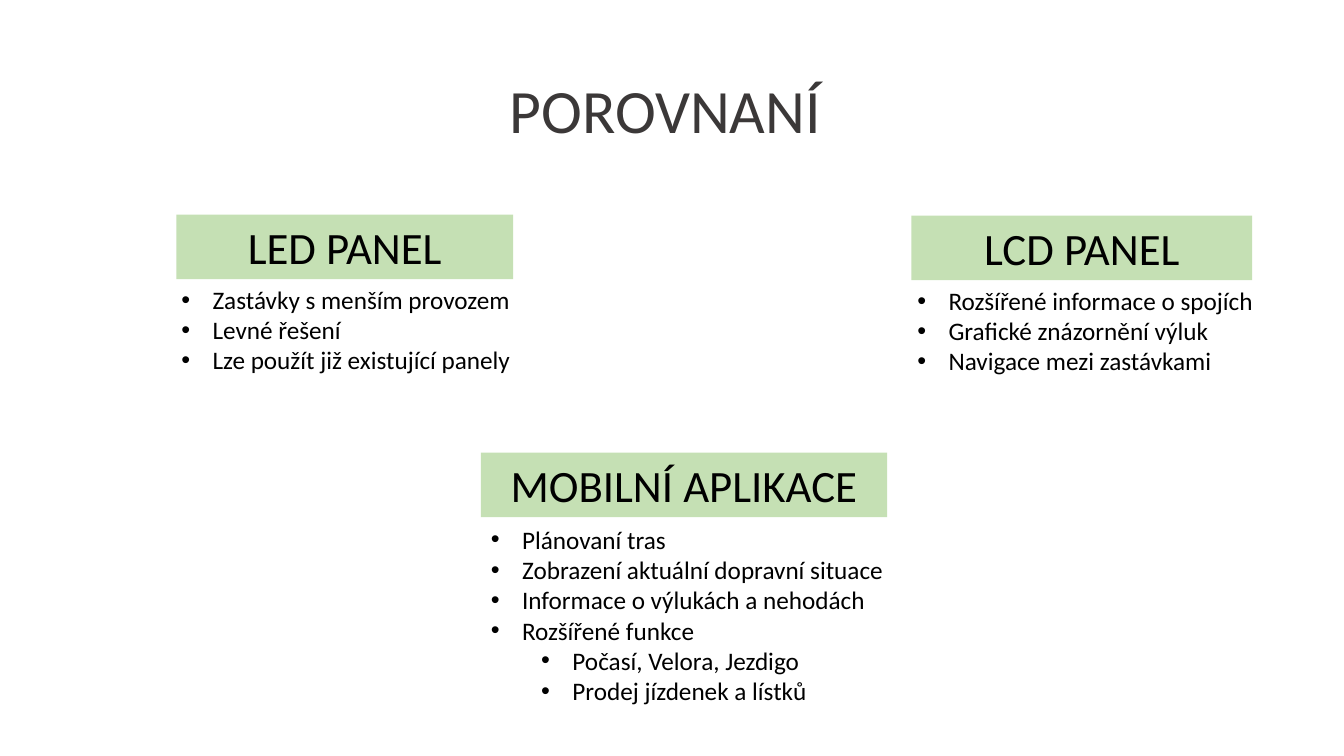
"""Build the slide comparing an LED panel, an LCD panel and a mobile app."""
from dataclasses import dataclass

from lxml import etree
from pptx import Presentation
from pptx.dml.color import RGBColor
from pptx.enum.shapes import MSO_SHAPE
from pptx.enum.text import MSO_ANCHOR, PP_ALIGN
from pptx.oxml.ns import qn
from pptx.util import Pt

RECTANGLE = MSO_SHAPE.RECTANGLE
MIDDLE = MSO_ANCHOR.MIDDLE
CENTER = PP_ALIGN.CENTER

EMU_PER_PX = 9144
FONT = "Calibri"
BLACK = "000000"
TITLE_GREY = "3B3838"
HEADING_GREEN = "C5E0B4"
HEADING_HEIGHT = 64
BULLET_INDENT = 31
LEVEL_STEP = 50


@dataclass(frozen=True)
class Box:
    left: int
    top: int
    width: int
    height: int


@dataclass(frozen=True)
class Item:
    text: str
    level: int = 0


@dataclass(frozen=True)
class Option:
    heading: str
    heading_box: Box
    list_box: Box
    items: tuple[Item, ...]


OPTIONS = (
    Option(
        "LED PANEL",
        Box(175, 213, 334, HEADING_HEIGHT),
        Box(170, 277, 362, 101),
        (
            Item("Zastávky s menším provozem"),
            Item("Levné řešení"),
            Item("Lze použít již existující panely"),
        ),
    ),
    Option(
        "LCD PANEL",
        Box(904, 214, 338, HEADING_HEIGHT),
        Box(900, 278, 362, 131),
        (
            Item("Rozšířené informace o spojích"),
            Item("Grafické znázornění výluk"),
            Item("Navigace mezi zastávkami"),
        ),
    ),
    Option(
        "MOBILNÍ APLIKACE",
        Box(477, 449, 403, HEADING_HEIGHT),
        Box(477, 515, 536, 222),
        (
            Item("Plánovaní tras"),
            Item("Zobrazení aktuální dopravní situace"),
            Item("Informace o výlukách a nehodách"),
            Item("Rozšířené funkce"),
            Item("Počasí, Velora, Jezdigo", 1),
            Item("Prodej jízdenek a lístků", 1),
        ),
    ),
)


def px(length: int) -> int:
    return length * EMU_PER_PX


def color(hex_code: str) -> RGBColor:
    return RGBColor.from_string(hex_code)


def frame(box: Box) -> tuple[int, int, int, int]:
    return px(box.left), px(box.top), px(box.width), px(box.height)


def add_run(paragraph, text: str, size: int, hex_code: str) -> None:
    run = paragraph.add_run()
    run.text = text
    run.font.name = FONT
    run.font.size = Pt(size)
    run.font.color.rgb = color(hex_code)


def add_bullet(paragraph, level: int) -> None:
    paragraph.level = level
    properties = paragraph._p.get_or_add_pPr()
    properties.set("marL", str(px(BULLET_INDENT + level * LEVEL_STEP)))
    properties.set("indent", str(px(-BULLET_INDENT)))
    etree.SubElement(properties, qn("a:buFont"), typeface="Arial")
    etree.SubElement(properties, qn("a:buChar"), char="•")


def set_title(slide, text: str, box: Box) -> None:
    title = slide.shapes.title
    title.left, title.top, title.width, title.height = frame(box)
    title.text_frame.vertical_anchor = MIDDLE
    paragraph = title.text_frame.paragraphs[0]
    paragraph.alignment = CENTER
    paragraph.line_spacing = 0.9
    add_run(paragraph, text, 44, TITLE_GREY)


def add_heading(slide, text: str, box: Box) -> None:
    heading = slide.shapes.add_shape(RECTANGLE, *frame(box))
    heading.shadow.inherit = False
    heading.fill.solid()
    heading.fill.fore_color.rgb = color(HEADING_GREEN)
    heading.line.fill.background()
    heading.text_frame.word_wrap = True
    heading.text_frame.vertical_anchor = MIDDLE
    paragraph = heading.text_frame.paragraphs[0]
    paragraph.alignment = CENTER
    add_run(paragraph, text, 32, BLACK)


def add_list(slide, items: tuple[Item, ...], box: Box) -> None:
    body = slide.shapes.add_textbox(*frame(box)).text_frame
    body.word_wrap = True
    for index, item in enumerate(items):
        paragraph = body.add_paragraph() if index else body.paragraphs[0]
        add_bullet(paragraph, item.level)
        add_run(paragraph, item.text, 18, BLACK)


def main() -> None:
    deck = Presentation()
    deck.slide_width, deck.slide_height = px(1333), px(750)
    slide = deck.slides.add_slide(deck.slide_layouts.get_by_name("Title Only"))
    set_title(slide, "POROVNANÍ ", Box(92, 40, 1150, 145))
    for option in OPTIONS:
        add_heading(slide, option.heading, option.heading_box)
        add_list(slide, option.items, option.list_box)
    deck.save("out.pptx")


if __name__ == "__main__":
    main()
